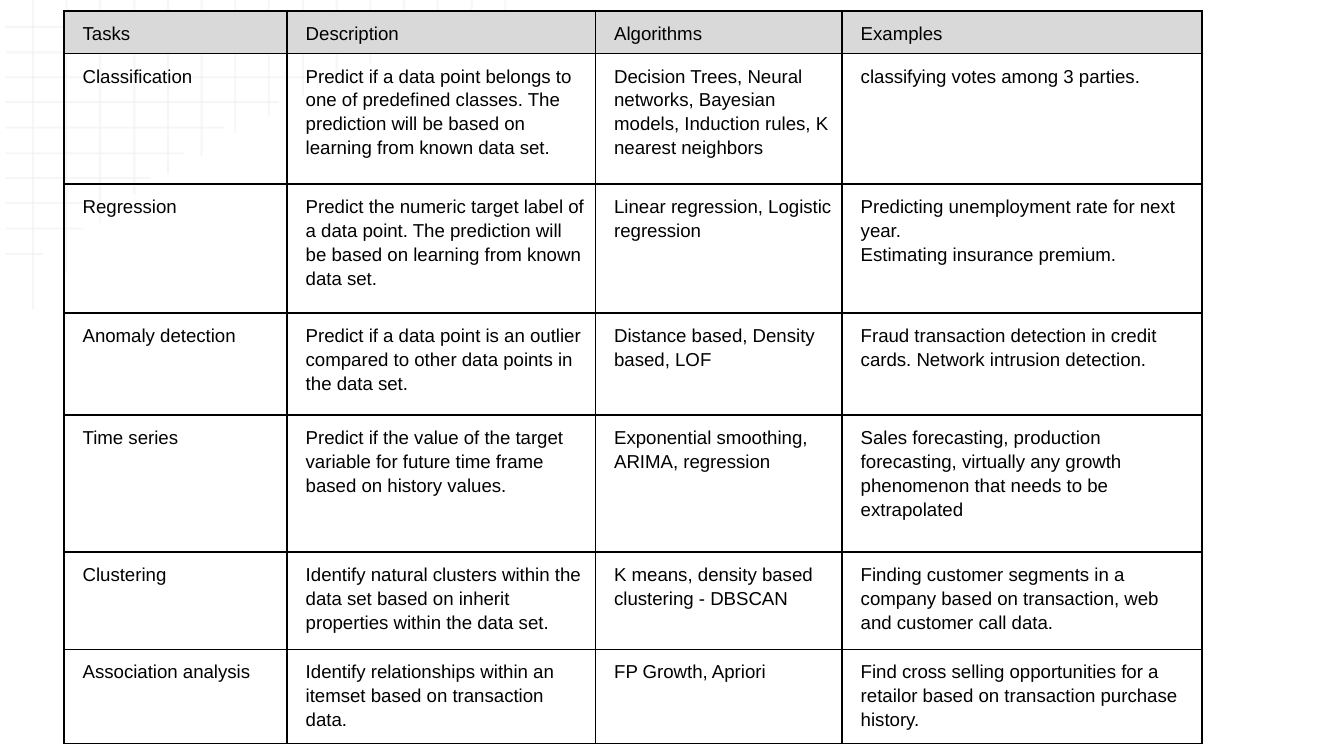
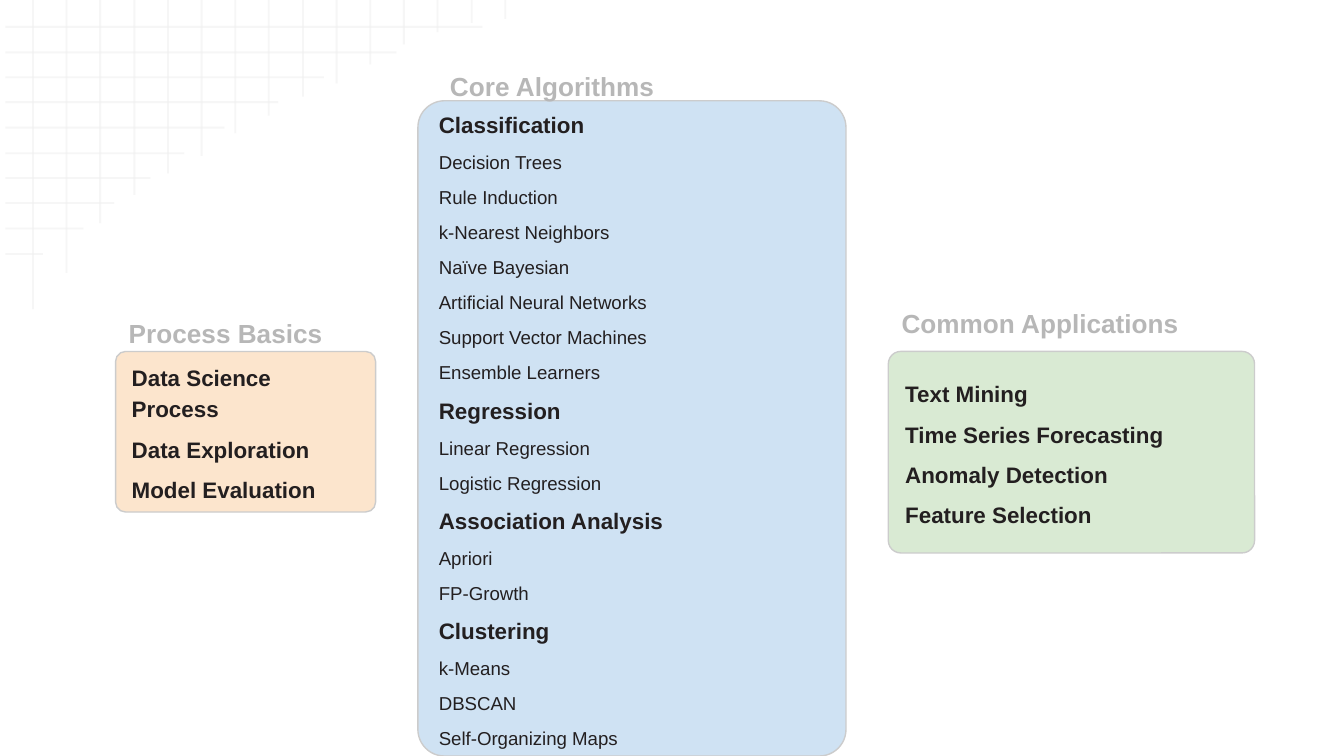
from dataclasses import dataclass

from lxml.etree import SubElement
from pptx import Presentation
from pptx.dml.color import RGBColor as Color
from pptx.enum.shapes import MSO_CONNECTOR as Connector, MSO_SHAPE as Shape
from pptx.enum.text import MSO_ANCHOR as Anchor, PP_ALIGN as Align
from pptx.oxml import parse_xml
from pptx.oxml.ns import nsdecls, qn
from pptx.util import Emu, Pt

SCALE = 4572  # EMU per px, 200 px to the inch


def px(length):
    return Emu(length * SCALE)


@dataclass(frozen=True)
class Theme:
    font: str = "Arial"
    grid: str = "EFEFEF"
    grid_alpha: int = 54
    header: str = "D9D9D9"
    border: str = "000000"
    table_text: str = "000000"
    box_text: str = "231F20"
    box_line: str = "CCCCCC"
    label: str = "B7B7B7"
    orange: str = "FCE5CD"
    blue: str = "CFE2F3"
    green: str = "D9EAD3"
    small_size: int = 10
    heading_size: int = 12
    label_size: int = 14
    spacing: float = 1.15
    corner: float = 0.062
    box_inset: int = 20
    cell_inset: int = 14


# Background grid: where each line stops
ROW_ENDS = [718, 590, 482, 414, 334, 274, 224, 170, 124, 64]
COLUMN_ENDS = [460, 406, 332, 290, 258, 232, 198, 172, 144, 124, 96, 66, 48, 34, 28]

# Task table
COLUMN_WIDTHS = [332, 459, 367, 536]
ROW_HEIGHTS = [64, 194, 192, 152, 204, 145, 140]
TASKS = [
    ["Tasks", "Description", "Algorithms", "Examples"],
    ["Classification",
     "Predict if a data point belongs to one of predefined classes. "
     "The prediction will be based on learning from known data set.",
     "Decision Trees, Neural networks, Bayesian models, Induction rules, K nearest neighbors",
     "classifying votes among 3 parties."],
    ["Regression",
     "Predict the numeric target label of a data point. "
     "The prediction will be based on learning from known data set.",
     "Linear regression, Logistic regression",
     "Predicting unemployment rate for next year.\nEstimating insurance premium."],
    ["Anomaly detection",
     "Predict if a data point is an outlier compared to other data points in the data set.",
     "Distance based, Density based, LOF",
     "Fraud transaction detection in credit cards. Network intrusion detection."],
    ["Time series",
     "Predict if the value of the target variable for future time frame "
     "based on history values.",
     "Exponential smoothing, ARIMA, regression",
     "Sales forecasting, production forecasting, virtually any growth phenomenon "
     "that needs to be extrapolated"],
    ["Clustering",
     "Identify natural clusters within the data set based on inherit properties "
     "within the data set.",
     "K means, density based clustering - DBSCAN",
     "Finding customer segments in a company based on transaction, web and customer call data."],
    ["Association analysis",
     "Identify relationships within an itemset based on transaction data.",
     "FP Growth, Apriori",
     "Find cross selling opportunities for a retailor based on transaction purchase history."],
]

# Topic boxes: headings, each with its items
PROCESS_BASICS = {"Data Science Process": [], "Data Exploration": [], "Model Evaluation": []}
CORE_ALGORITHMS = {
    "Classification": ["Decision Trees", "Rule Induction", "k-Nearest Neighbors",
                       "Naïve Bayesian", "Artificial Neural Networks",
                       "Support Vector Machines", "Ensemble Learners"],
    "Regression": ["Linear Regression", "Logistic Regression"],
    "Association Analysis": ["Apriori", "FP-Growth"],
    "Clustering": ["k-Means", "DBSCAN", "Self-Organizing Maps"],
}
APPLICATIONS = {"Text Mining": [], "Time Series Forecasting": [],
                "Anomaly Detection": [], "Feature Selection": []}


class Deck:
    def __init__(self, theme):
        self.theme = theme
        self.presentation = Presentation()
        self.presentation.slide_width = px(2000)
        self.presentation.slide_height = px(1125)
        self.slide = None

    def add_slide(self):
        self.slide = self.presentation.slides.add_slide(self.presentation.slide_layouts[6])
        self.add_grid()

    def add_grid(self):
        group = self.slide.shapes.add_group_shape()
        for index, end in enumerate(ROW_ENDS):
            y = round(40 + 37.5 * index)
            self.add_grid_line(group, 8, y, end, y)
        for index, end in enumerate(COLUMN_ENDS):
            x = round(49 + 50.2 * index)
            self.add_grid_line(group, x, end, x, 0)

    def add_grid_line(self, group, *ends):
        line = group.shapes.add_connector(Connector.STRAIGHT, *map(px, ends))
        line.line.color.rgb = Color.from_string(self.theme.grid)
        line.line.width = Pt(1)
        properties = line.element.spPr
        color = next(properties.iter(qn("a:srgbClr")))
        SubElement(color, qn("a:alpha"), val=str(self.theme.grid_alpha * 1000))
        SubElement(properties, qn("a:effectLst"))

    def format_paragraph(self, paragraph, size, color, bold=False, spacing=None):
        paragraph.line_spacing = spacing or self.theme.spacing
        for run in paragraph.runs:
            run.font.name = self.theme.font
            run.font.size = Pt(size)
            run.font.bold = bold
            run.font.color.rgb = Color.from_string(color)

    def prepare_frame(self, text_frame):
        text_frame.word_wrap = True
        text_frame.vertical_anchor = Anchor.MIDDLE
        inset = px(self.theme.box_inset)
        text_frame.margin_left = text_frame.margin_right = inset
        text_frame.margin_top = text_frame.margin_bottom = inset

    def add_label(self, text, *place):
        text_frame = self.slide.shapes.add_textbox(*map(px, place)).text_frame
        self.prepare_frame(text_frame)
        text_frame.text = text
        paragraph = text_frame.paragraphs[0]
        paragraph.space_before = Pt(6.4)
        self.format_paragraph(paragraph, self.theme.label_size, self.theme.label, True, 2.0)

    def add_topic_box(self, topics, fill, *place):
        shape = self.slide.shapes.add_shape(Shape.ROUNDED_RECTANGLE, *map(px, place))
        shape.adjustments[0] = self.theme.corner
        shape.shadow.inherit = False
        shape.fill.solid()
        shape.fill.fore_color.rgb = Color.from_string(fill)
        shape.line.color.rgb = Color.from_string(self.theme.box_line)
        shape.line.width = Pt(0.75)

        text_frame = shape.text_frame
        self.prepare_frame(text_frame)
        lines = []
        for heading, items in topics.items():
            lines.append((heading, True))
            lines.extend((item, False) for item in items)
        text_frame.text = "\n".join(text for text, _ in lines)
        for paragraph, (_, is_heading) in zip(text_frame.paragraphs, lines):
            paragraph.alignment = Align.LEFT if is_heading else Align.JUSTIFY
            paragraph.space_before = Pt(5)
            size = self.theme.heading_size if is_heading else self.theme.small_size
            self.format_paragraph(paragraph, size, self.theme.box_text, is_heading)
        text_frame.paragraphs[0].space_before = Pt(0)
        text_frame.paragraphs[-1].space_after = Pt(5)

    def add_table(self, rows, widths, heights, left, top):
        place = (left, top, sum(widths), sum(heights))
        table = self.slide.shapes.add_table(len(rows), len(widths), *map(px, place)).table
        table.first_row = table.horz_banding = False
        for column, width in zip(table.columns, widths):
            column.width = px(width)
        for row, height in zip(table.rows, heights):
            row.height = px(height)
        for row_index, texts in enumerate(rows):
            for column_index, text in enumerate(texts):
                self.fill_cell(table.cell(row_index, column_index), text, row_index == 0)

    def fill_cell(self, cell, text, is_header):
        inset = px(self.theme.cell_inset)
        cell.margin_left = cell.margin_right = inset
        cell.margin_top = cell.margin_bottom = inset
        cell.text_frame.text = text
        for paragraph in cell.text_frame.paragraphs:
            self.format_paragraph(paragraph, self.theme.small_size, self.theme.table_text)
            paragraph._p.get_or_add_pPr().set("marL", str(inset))

        # Borders come before the fill in the cell properties
        properties = cell._tc.get_or_add_tcPr()
        for side in ("lnL", "lnR", "lnT", "lnB"):
            properties.append(parse_xml(
                f'<a:{side} {nsdecls("a")} w="{Pt(1)}"><a:solidFill>'
                f'<a:srgbClr val="{self.theme.border}"/></a:solidFill></a:{side}>'))
        if is_header:
            cell.fill.solid()
            cell.fill.fore_color.rgb = Color.from_string(self.theme.header)
        else:
            cell.fill.background()


def main():
    theme = Theme()
    deck = Deck(theme)

    # Slide 1: data science tasks
    deck.add_slide()
    deck.add_table(TASKS, COLUMN_WIDTHS, ROW_HEIGHTS, 95, 16)

    # Slide 2: topic overview
    deck.add_slide()
    deck.add_topic_box(PROCESS_BASICS, theme.orange, 172, 523, 387, 239)
    deck.add_topic_box(CORE_ALGORITHMS, theme.blue, 622, 150, 637, 975)
    deck.add_topic_box(APPLICATIONS, theme.green, 1322, 523, 545, 300)
    deck.add_label("Process Basics", 172, 434, 388, 76)
    deck.add_label("Core Algorithms", 650, 75, 388, 60)
    deck.add_label("Common Applications", 1322, 420, 520, 76)

    deck.presentation.save("out.pptx")


if __name__ == "__main__":
    main()
